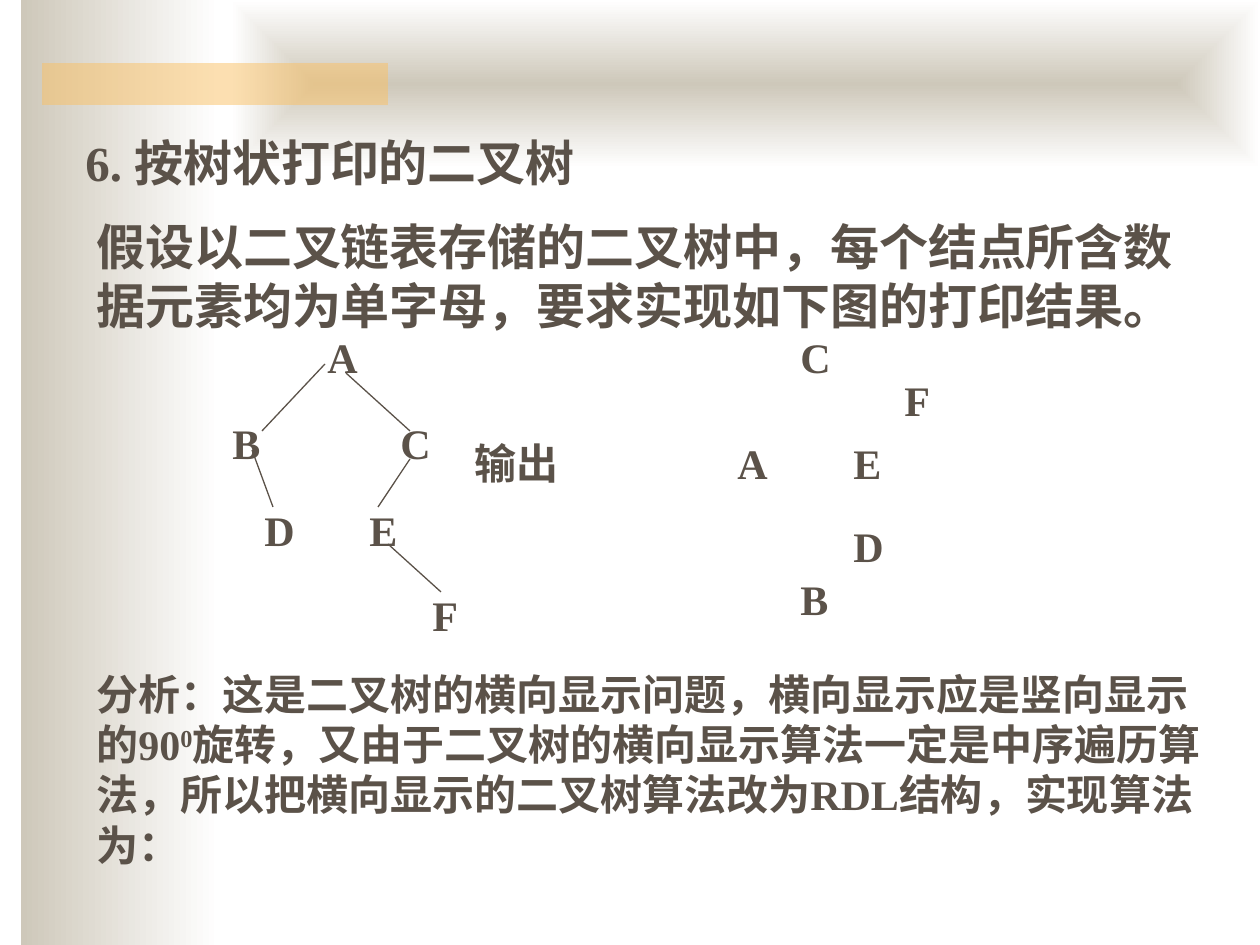
from lxml.etree import SubElement
from pptx import Presentation
from pptx.dml.color import RGBColor
from pptx.enum.shapes import MSO_CONNECTOR, MSO_SHAPE
from pptx.enum.text import MSO_AUTO_SIZE
from pptx.oxml.ns import qn
from pptx.util import Emu, Pt

INK = RGBColor(0x5B, 0x52, 0x49)
SAND = RGBColor(0xCE, 0xC8, 0xBA)
WHITE = RGBColor(0xFF, 0xFF, 0xFF)
GOLD = RGBColor(0xFA, 0xC1, 0x64)
FONT = "Times New Roman"
NODE = 63


def px(n):
    return Emu(round(n * 914400 / 126))


def write(slide, box, text, size=24, sup=None):
    shape = slide.shapes.add_textbox(*map(px, box))
    frame = shape.text_frame
    frame.word_wrap = True
    frame.auto_size = MSO_AUTO_SIZE.SHAPE_TO_FIT_TEXT
    para = frame.paragraphs[0]
    parts = [text] if isinstance(text, str) else text
    for index, part in enumerate(parts):
        run = para.add_run()
        run.text = part
        font = run.font
        font.name, font.size, font.bold = FONT, Pt(size), True
        font.color.rgb = INK
        if index == sup:
            run._r.get_or_add_rPr().set("baseline", "30000")


def panel(slide, box):
    shape = slide.shapes.add_shape(MSO_SHAPE.RECTANGLE, *map(px, box))
    shape.shadow.inherit = False
    shape.line.fill.background()
    return shape


def fade(shape):
    fill = shape.fill
    fill.gradient()
    fill.gradient_angle = 0
    for stop, color, place in zip(fill.gradient_stops, (SAND, WHITE), (0, 1)):
        stop.color.rgb = color
        stop.position = place


def center(shape):
    grad = shape._element.spPr.find(qn("a:gradFill"))
    grad.remove(grad.find(qn("a:lin")))
    route = SubElement(grad, qn("a:path"), {"path": "rect"})
    SubElement(route, qn("a:fillToRect"), dict.fromkeys("ltrb", "50000"))


def backdrop(slide, box):
    x, y, w, h = box
    fade(panel(slide, (x + 21, y, 199, h)))
    band = panel(slide, (x + 231, y, w - 231, 168))
    fade(band)
    center(band)
    bar = panel(slide, (x + 42, y + 63, 346, 42))
    bar.fill.solid()
    bar.fill.fore_color.rgb = GOLD
    color = bar._element.spPr.find(qn("a:solidFill"))[0]
    SubElement(color, qn("a:alpha"), {"val": "50000"})


def letters(slide, box, spots):
    for name, x, y in spots:
        write(slide, (box[0] + x, box[1] + y, NODE, NODE), name)


def tree(slide, box):
    letters(slide, box, [
        ("A", 95, 0), ("B", 0, 86), ("C", 168, 86),
        ("D", 32, 173), ("E", 137, 173), ("F", 200, 258),
    ])
    x, y = box[:2]
    for a, b, c, d in [
        (105, 39, 42, 106), (126, 48, 190, 106), (32, 125, 53, 182),
        (190, 134, 158, 182), (168, 219, 221, 267),
    ]:
        edge = slide.shapes.add_connector(
            MSO_CONNECTOR.STRAIGHT, px(x + a), px(y + b), px(x + c), px(y + d))
        edge.line.color.rgb = INK
        edge.line.width = Pt(0.75)
        SubElement(edge._element.spPr, qn("a:effectLst"))


def output(slide, box):
    x, y = box[:2]
    write(slide, (x, y + 106, 126, NODE), "输出")
    letters(slide, (x + 263, y), [
        ("C", 63, 0), ("F", 167, 43), ("A", 0, 106),
        ("E", 116, 106), ("D", 116, 189), ("B", 63, 242),
    ])


def main():
    deck = Presentation()
    deck.slide_width, deck.slide_height = px(1260), px(945)
    slide = deck.slides.add_slide(deck.slide_layouts[6])
    backdrop(slide, (0, 0, 1260, 945))
    write(slide, (73, 126, 1155, 72), "6. 按树状打印的二叉树", size=28)
    write(slide, (84, 210, 1134, 131),
          "假设以二叉链表存储的二叉树中，每个结点所含数据元素均为单字母，"
          "要求实现如下图的打印结果。", size=28)
    tree(slide, (220, 325, 263, 321))
    output(slide, (462, 325, 493, 305))
    write(slide, (84, 662, 1134, 214), [
        "分析：这是二叉树的横向显示问题，横向显示应是竖向显示的90", "0",
        "旋转，又由于二叉树的横向显示算法一定是中序遍历算法，"
        "所以把横向显示的二叉树算法改为RDL结构，实现算法为：",
    ], sup=1)
    deck.save("out.pptx")


if __name__ == "__main__":
    main()
